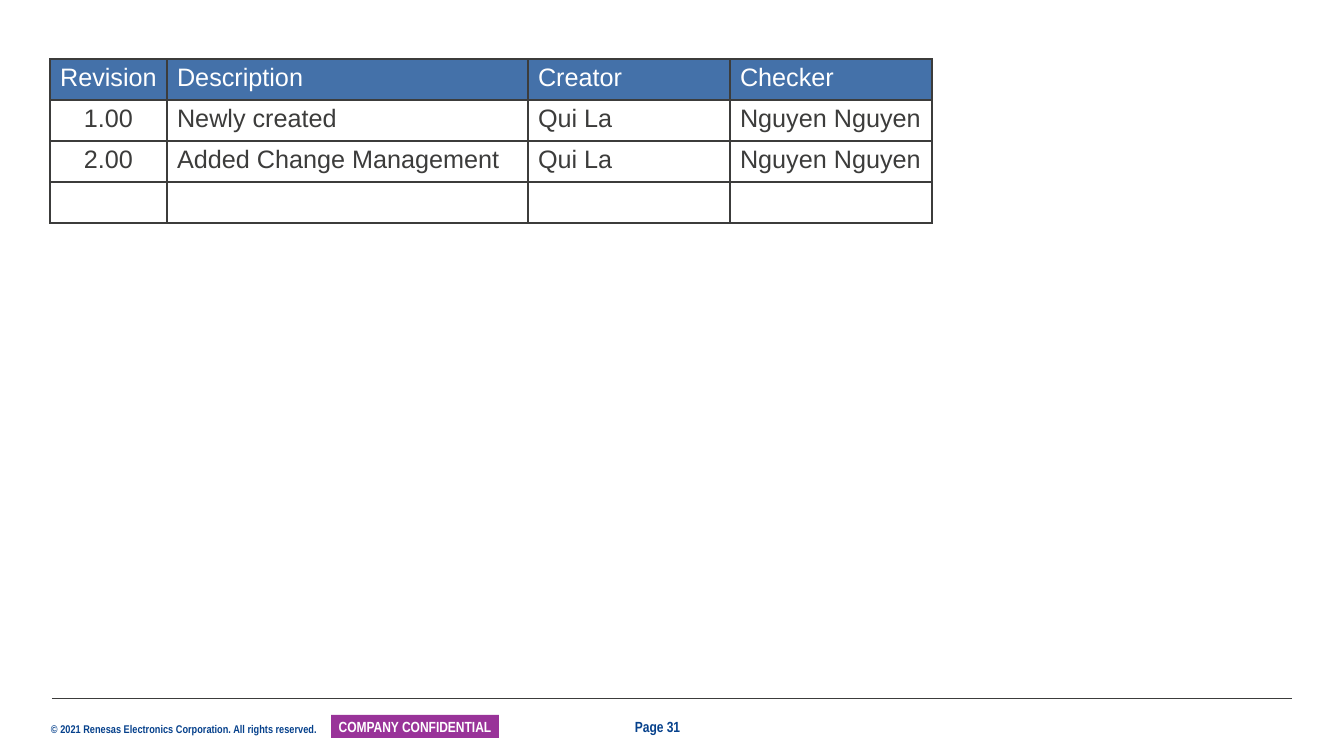
from lxml.etree import SubElement
from pptx import Presentation
from pptx.dml.color import RGBColor
from pptx.enum.shapes import MSO_CONNECTOR, MSO_SHAPE
from pptx.enum.text import MSO_ANCHOR, PP_ALIGN
from pptx.oxml.ns import qn
from pptx.util import Pt

PX = 9144000 / 1008
NAVY = RGBColor(0x06, 0x41, 0x8C)
BLUE = RGBColor(0x44, 0x71, 0xA9)
PURPLE = RGBColor(0x99, 0x33, 0x99)
CHARCOAL = RGBColor(0x3C, 0x3C, 0x3B)
WHITE = RGBColor(0xFF, 0xFF, 0xFF)


def px(*lengths):
    return [round(length * PX) for length in lengths]


def write_text(frame, text, size=18, font="Arial", color=CHARCOAL, bold=False,
               align=PP_ALIGN.LEFT):
    paragraph = frame.paragraphs[0]
    paragraph.alignment = align
    run = paragraph.add_run()
    run.text = text
    run.font.size = Pt(size)
    run.font.name = font
    run.font.bold = bold
    run.font.color.rgb = color


presentation = Presentation()
presentation.slide_width, presentation.slide_height = px(1344, 756)
slide = presentation.slides.add_slide(presentation.slide_layouts[6])

copyright_box = slide.shapes.add_textbox(*px(51, 722, 275, 13))
copyright_frame = copyright_box.text_frame
copyright_frame.margin_left = copyright_frame.margin_right = 0
copyright_frame.margin_top = copyright_frame.margin_bottom = 0
write_text(copyright_frame,
           "© 2021 Renesas Electronics Corporation. All rights reserved.",
           size=8, font="Arial Narrow", color=NAVY, bold=True)

footer_line = slide.shapes.add_connector(MSO_CONNECTOR.STRAIGHT, *px(52, 698, 1292, 698))
footer_line.line.color.rgb = CHARCOAL
footer_line.line.width = Pt(0.5)
SubElement(footer_line._element.spPr, qn("a:effectLst"))

badge = slide.shapes.add_shape(MSO_SHAPE.RECTANGLE, *px(331, 715, 168, 23))
badge.shadow.inherit = False
badge.fill.solid()
badge.fill.fore_color.rgb = PURPLE
badge.line.fill.background()
badge_frame = badge.text_frame
badge_frame.margin_left, badge_frame.margin_right = px(4, 4)
badge_frame.margin_top = badge_frame.margin_bottom = 0
badge_frame.vertical_anchor = MSO_ANCHOR.MIDDLE
write_text(badge_frame, "COMPANY CONFIDENTIAL", size=10.5, font="Arial Narrow",
           color=WHITE, bold=True, align=PP_ALIGN.CENTER)

page_box = slide.shapes.add_textbox(*px(625, 713, 67, 28))
write_text(page_box.text_frame, "Page 31", size=10.5, font="Arial Narrow",
           color=NAVY, bold=True)

revisions = [
    ["Revision", "Description", "Creator", "Checker"],
    ["1.00", "Newly created", "Qui La", "Nguyen Nguyen"],
    ["2.00", "Added Change Management", "Qui La", "Nguyen Nguyen"],
    ["", "", "", ""],
]
column_widths = [117, 361, 202, 202]
row_height = 41
table = slide.shapes.add_table(
    len(revisions), len(column_widths),
    *px(50, 59, sum(column_widths), row_height * len(revisions))).table
for column, width in zip(table.columns, px(*column_widths)):
    column.width = width

for row_index, values in enumerate(revisions):
    is_header = row_index == 0
    for column_index, value in enumerate(values):
        cell = table.cell(row_index, column_index)
        properties = cell._tc.get_or_add_tcPr()
        for side in ("a:lnL", "a:lnR", "a:lnT", "a:lnB"):
            border = SubElement(properties, qn(side), w=str(Pt(1)))
            border_fill = SubElement(border, qn("a:solidFill"))
            SubElement(border_fill, qn("a:srgbClr"), val=str(CHARCOAL))
        if is_header:
            cell.fill.solid()
            cell.fill.fore_color.rgb = BLUE
        else:
            cell.fill.background()
        if value:
            centered = column_index == 0 and not is_header
            write_text(cell.text_frame, value,
                       color=WHITE if is_header else CHARCOAL,
                       align=PP_ALIGN.CENTER if centered else PP_ALIGN.LEFT)

presentation.save("out.pptx")
